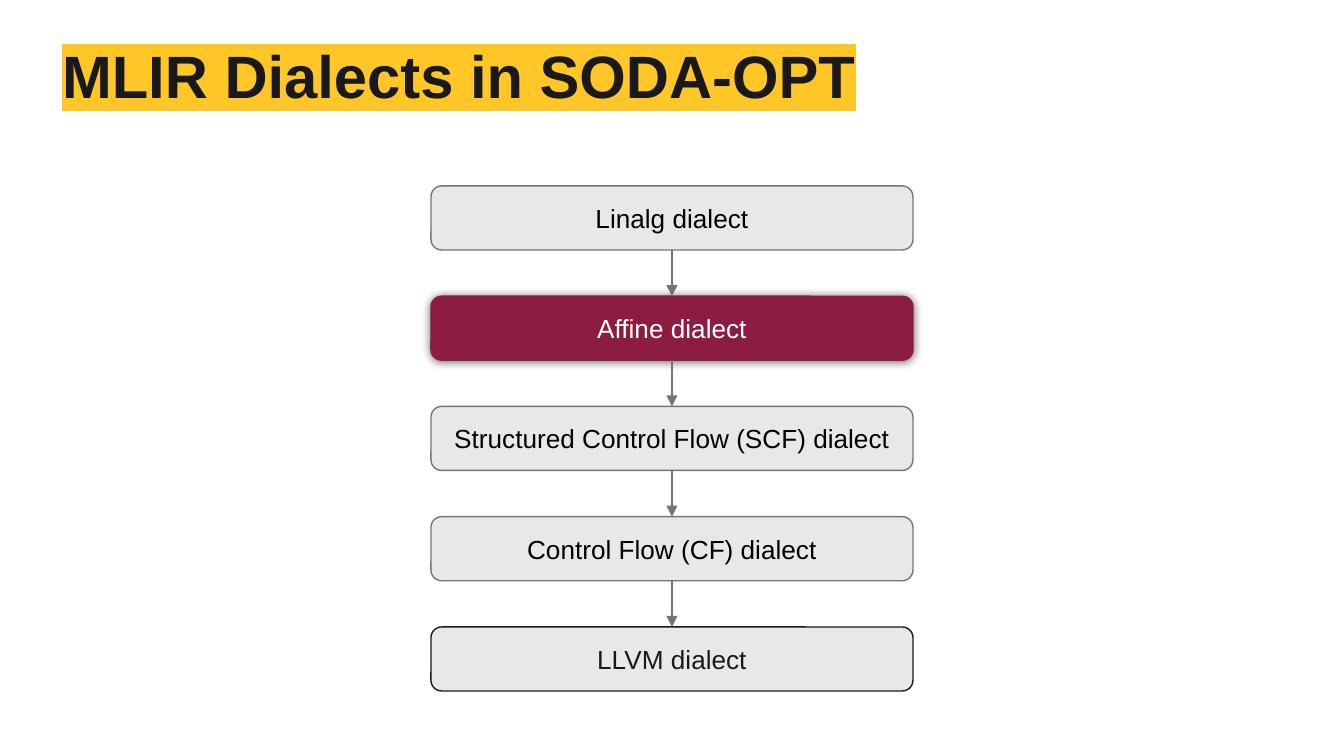
from lxml.etree import SubElement
from pptx import Presentation
from pptx.dml.color import RGBColor
from pptx.enum.shapes import MSO_CONNECTOR, MSO_SHAPE
from pptx.enum.text import MSO_ANCHOR, MSO_AUTO_SIZE, PP_ALIGN
from pptx.oxml.ns import qn
from pptx.util import Emu, Pt

PX_PER_INCH = 134.4
INK, GREY, PALE = "191919", "747474", "E8E8E8"
MAROON, GOLD, WHITE, BLACK = "8C1D40", "FFC627", "FFFFFF", "000000"

# Label, fill, outline, text colour, glow
DIALECTS = [
    ("Linalg dialect", PALE, GREY, BLACK, False),
    ("Affine dialect", MAROON, MAROON, WHITE, True),
    ("Structured Control Flow (SCF) dialect", PALE, GREY, BLACK, False),
    ("Control Flow (CF) dialect", PALE, GREY, BLACK, False),
    ("LLVM dialect", PALE, INK, INK, False),
]


def px(length):
    return Emu(round(length * 914400 / PX_PER_INCH))


def rgb(color):
    return RGBColor.from_string(color)


def write(frame, text, size, color, align, anchor, margin=0, bold=False):
    frame.word_wrap = True
    frame.auto_size = MSO_AUTO_SIZE.NONE
    frame.vertical_anchor = anchor
    frame.margin_left = frame.margin_right = px(margin)
    frame.margin_top = frame.margin_bottom = px(margin)
    paragraph = frame.paragraphs[0]
    paragraph.text = text
    paragraph.alignment = align
    font = paragraph.font
    font.name, font.size, font.bold = "Arial", Pt(size), bold
    font.color.rgb = rgb(color)
    return paragraph


def add_title(slide, left, top, width, height):
    title = slide.shapes.title
    title.left, title.top = px(left), px(top)
    title.width, title.height = px(width), px(height)
    heading = write(title.text_frame, "MLIR Dialects in SODA-OPT", 32, INK,
                    PP_ALIGN.LEFT, MSO_ANCHOR.TOP, bold=True)
    heading.line_spacing = 0.9
    run_properties = heading.runs[0].font._element
    highlight = SubElement(run_properties, qn("a:highlight"))
    SubElement(highlight, qn("a:srgbClr"), val=GOLD)


def add_glow(shape):
    effects = shape._element.spPr.find(qn("a:effectLst"))
    shadow = SubElement(effects, qn("a:outerShdw"), blurRad=str(Pt(5)),
                        dist="0", dir="0", algn="ctr", rotWithShape="0")
    shade = SubElement(shadow, qn("a:srgbClr"), val=BLACK)
    SubElement(shade, qn("a:alpha"), val="60000")


def add_dialect(slide, left, top, width, height, dialect):
    label, fill, outline, ink, glows = dialect
    box = slide.shapes.add_shape(MSO_SHAPE.ROUNDED_RECTANGLE, px(left), px(top),
                                 px(width), px(height))
    box.shadow.inherit = False
    box.fill.solid()
    box.fill.fore_color.rgb = rgb(fill)
    box.line.color.rgb = rgb(outline)
    box.line.width = Pt(0.75)
    write(box.text_frame, label, 14, ink, PP_ALIGN.CENTER, MSO_ANCHOR.MIDDLE, margin=13)
    if glows:
        add_glow(box)
    return box


def add_arrow(slide, upper, lower):
    arrow = slide.shapes.add_connector(MSO_CONNECTOR.STRAIGHT, 0, 0, 0, 0)
    arrow.begin_connect(upper, 2)
    arrow.end_connect(lower, 0)
    arrow.line.color.rgb = rgb(GREY)
    arrow.line.width = Pt(0.75)
    SubElement(arrow.line._get_or_add_ln(), qn("a:tailEnd"), type="triangle")
    SubElement(arrow._element.spPr, qn("a:effectLst"))


def add_lowering_chain(slide, left, top, width, height):
    box_height = 64
    pitch = (height - box_height) / (len(DIALECTS) - 1)
    boxes = [add_dialect(slide, left, top + i * pitch, width, box_height, dialect)
             for i, dialect in enumerate(DIALECTS)]
    for upper, lower in zip(boxes, boxes[1:]):
        add_arrow(slide, upper, lower)


def main():
    deck = Presentation()
    deck.slide_width, deck.slide_height = px(1344), px(756)
    slide = deck.slides.add_slide(deck.slide_layouts[5])
    add_title(slide, 62, 47, 1236, 64)
    add_lowering_chain(slide, 431, 186, 482, 505)
    deck.save("out.pptx")


if __name__ == "__main__":
    main()
